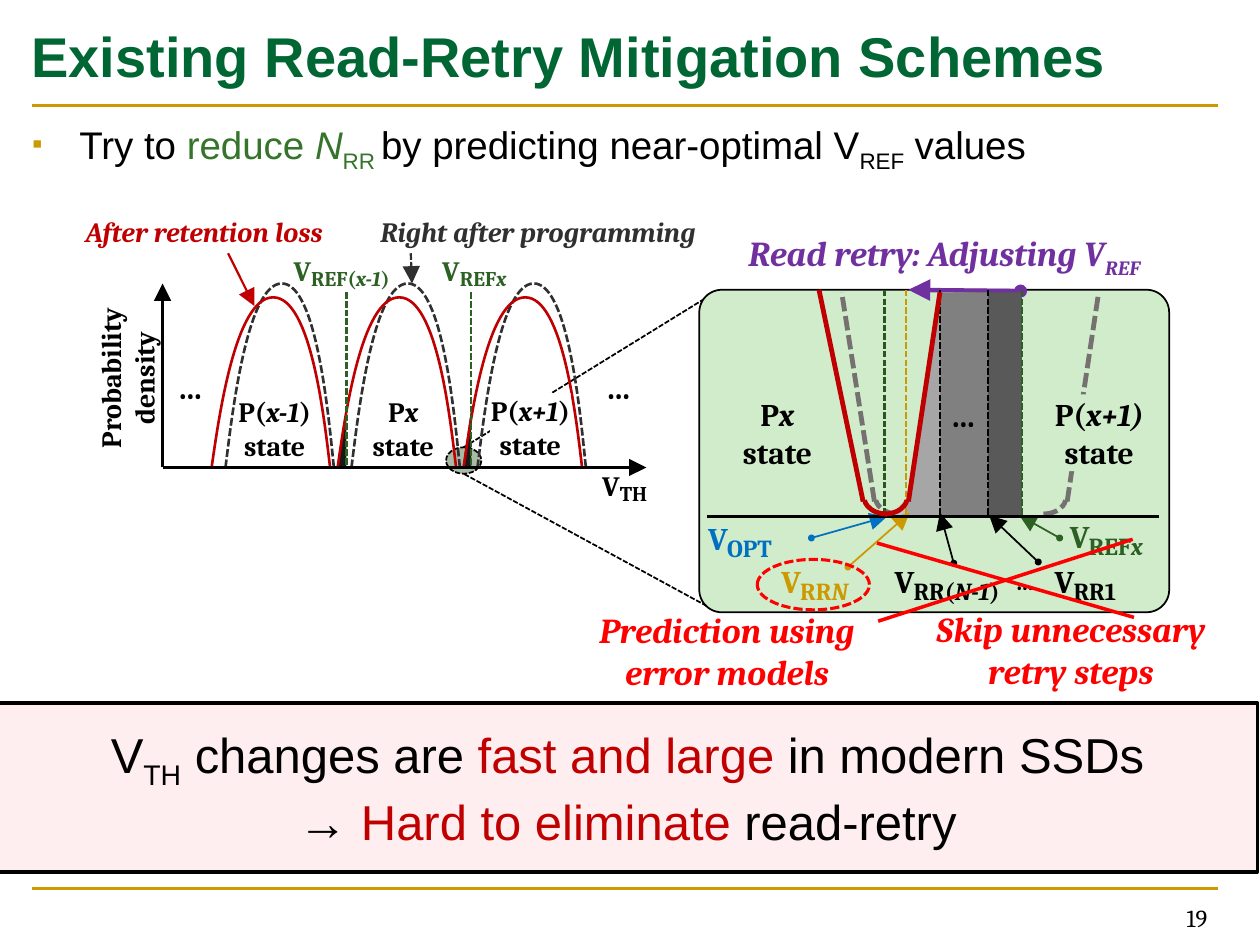
from dataclasses import dataclass
from typing import Any
from lxml import etree
from pptx import Presentation
from pptx import util as u
from pptx.dml import color as dml
from pptx.enum import dml as lines, shapes, text
from pptx.oxml import ns

HUE = dict(black="000000", white="FFFFFF", title="006633", gold="CC9900", leaf="35742A",
           green="2C6123", forest="285720", mint="D0ECCB", blue="0070C0", purple="7030A0",
           red="FF0000", wine="C00000", coal="303030", ink="181818", stone="767171",
           dark="595959", mid="808080", light="A6A6A6", pale="BFBFBF", blush="FFEEEF")
KIND = shapes.MSO_SHAPE
ALIGN = dict(l=text.PP_ALIGN.LEFT, c=text.PP_ALIGN.CENTER, r=text.PP_ALIGN.RIGHT)
SUB, ITAL = dict(sub=True), dict(italic=True)
PX = ["P", ("x\n", ITAL), "state"]


@dataclass
class Area:
    """A region of the slide; parts are placed from its top left corner."""
    items: Any
    x: float = 0
    y: float = 0

    def spot(self, x, y):
        return u.Inches(self.x + x), u.Inches(self.y + y)

    def rect(self, x, y, w, h):
        return *self.spot(x, y), u.Inches(w), u.Inches(h)


def rgb(name):
    return dml.RGBColor.from_string(HUE[name])


def node(parent, tag, **attrs):
    return etree.SubElement(parent, ns.qn(tag), attrs)


def stroke(item, color, width, dash=False):
    item.line.color.rgb = rgb(color)
    item.line.width = u.Pt(width)
    if dash:
        item.line.dash_style = lines.MSO_LINE.SQUARE_DOT


def paint(item, fill=None, line=None, width=1, dash=False):
    item.shadow.inherit = False
    if fill:
        item.fill.solid()
        item.fill.fore_color.rgb = rgb(fill)
    else:
        item.fill.background()
    if line:
        stroke(item, line, width, dash)
    else:
        item.line.fill.background()


def shape(area, kind, box, adj=(), flip="", **look):
    item = area.items.add_shape(kind, *area.rect(*box))
    for i, value in enumerate(adj):
        item.adjustments[i] = value
    for axis in flip:
        item._element.spPr.find(ns.qn("a:xfrm")).set("flip" + axis, "1")
    paint(item, **look)
    return item


def line(area, start, end, color, width=1, dash=False, dot=None, arrow=False):
    """A straight line; dot is the size of a round start."""
    item = area.items.add_connector(shapes.MSO_CONNECTOR.STRAIGHT,
                                    *area.spot(*start), *area.spot(*end))
    stroke(item, color, width, dash)
    if dot:
        node(item.line._ln, "a:headEnd", type="oval", w=dot, len=dot)
    if arrow:
        node(item.line._ln, "a:tailEnd", type="triangle", w="lg", len="lg")
    node(item._element.spPr, "a:effectLst")


def write(area, box, *paras, size=16, color="black", font="Cambria", bold=True, italic=False,
          align="c", pad=(0, 0), anchor=text.MSO_ANCHOR.MIDDLE, turn=0, bullet=None, **look):
    """Each paragraph is a string or a list of strings and (string, format) pairs."""
    item = area.items.add_textbox(*area.rect(*box))
    paint(item, **look)
    item.rotation = turn
    frame = item.text_frame
    frame.word_wrap, frame.vertical_anchor = True, anchor
    frame.margin_left = frame.margin_right = u.Inches(pad[0])
    frame.margin_top = frame.margin_bottom = u.Inches(pad[1])
    for i, parts in enumerate(paras):
        para = frame.add_paragraph() if i else frame.paragraphs[0]
        para.alignment = ALIGN[align]
        if bullet:
            props = para._p.get_or_add_pPr()
            props.set("marL", str(u.Inches(0.38)))
            props.set("indent", str(-u.Inches(0.38)))
            node(node(props, "a:buClr"), "a:srgbClr", val=HUE["gold"])
            node(props, "a:buSzPct", val="65000")
            node(props, "a:buFont", typeface="Wingdings", charset="2")
            node(props, "a:buChar", char=bullet)
        for part in [parts] if isinstance(parts, str) else parts:
            words, own = (part, {}) if isinstance(part, str) else part
            for j, piece in enumerate(words.split("\n")):
                if j:
                    para.add_line_break()
                if not piece:
                    continue
                run = para.add_run()
                run.text = piece
                run.font.name, run.font.size, run.font.bold = font, u.Pt(size), bold
                run.font.italic = own.get("italic", italic)
                run.font.color.rgb = rgb(own.get("color", color))
                if own.get("sub"):
                    run._r.get_or_add_rPr().set("baseline", "-25000")


def volt(area, x, y, sub, color="black", size=18):
    """A V with its subscript in a box of its own."""
    wide, high, dx, dy, small = (0.6, 0.3, 0.37, 0.11, 14) if size == 18 else (0.4, 0.27, 0.27, 0.09, 12)
    write(area, (x, y, wide, high), "V", size=size, color=color)
    write(area, (x + dx, y + dy, 0.95, high - 0.06), sub, size=small, color=color, align="l")


def bell(area, left, top, wide, color, dash=False):
    """Two cubic curves that meet at the peak."""
    high = 1.46 - top
    pen = area.items.build_freeform(*area.spot(left, 1.46))
    pen.add_line_segments([area.spot(left + 0.52 * wide, top), area.spot(left + wide, 1.46)], close=False)
    item = pen.convert_to_shape()
    halves = (((0.06, 0.71), (0.2, 0), (0.52, 0)), ((0.84, 0), (0.95, 0.71), (1, 1)))
    for step, half in zip(list(item._element.iter(ns.qn("a:lnTo"))), halves):
        step.tag = ns.qn("a:cubicBezTo")
        step.remove(step[0])
        for x, y in half:
            node(step, "a:pt", x=str(u.Inches(x * wide)), y=str(u.Inches(y * high)))
    paint(item, line=color, width=1.5, dash=dash)


def wall(area, foot, top, color, dash=False):
    """One side of a valley, from its foot up to the point given as top."""
    right = top[0] > foot
    shape(area, KIND.ARC, (foot - 0.37 if right else foot + 0.01, 1.52, 0.36, 0.26),
          (162.33, 211.86), "V" if right else "HV", line=color, width=2.75, dash=dash)
    line(area, (foot, 1.68), top, color, 2.75, dash)


def panel(area):
    line(area, (-1.87, 1.25), (0.06, 0.06), "black", dash=True)
    spot = shape(area, KIND.OVAL, (-2.01, 1.25, 0.28, 0.21), fill="forest", line="black", dash=True)
    node(spot._element.spPr.find(ns.qn("a:solidFill"))[0], "a:alpha", val="40000")
    shape(area, KIND.ROUNDED_RECTANGLE, (0, 0, 3.73, 2.56), (0.07,), fill="mint", line="black")
    line(area, (0.06, 2.51), (-1.87, 1.46), "black", dash=True)
    write(area, (0.23, 0.83, 0.78, 0.61), PX, size=18, fill="mint")
    wall(area, 2.92, (3.17, 0.02), "stone", True)
    wall(area, 1.39, (1.13, 0.02), "stone", True)
    write(area, (2.66, 0.83, 1.03, 0.61), ["P(", ("x+1)\n", ITAL), "state"], size=18, fill="mint")
    write(area, (-0.13, -0.44, 4.15, 0.34), ["Read retry: Adjusting V", ("REF", SUB)],
          size=20, color="purple", italic=True, fill="white")

    line(area, (2.55, 0.01), (1.66, 0), "purple", 2.5, dot="med", arrow=True)
    for left, wide, color in ((2.12, 0.44, "dark"), (1.91, 0.38, "mid")):
        shape(area, KIND.RECTANGLE, (left, 0.02, wide, 1.79), fill=color)
    for box, color in (((1.62, 0, 0.29, 1.8), "light"), ((1.5, 1.67, 0.14, 0.13), "pale")):
        shape(area, KIND.ISOSCELES_TRIANGLE, box, (1,), fill=color)
    for x, color in ((1.47, "forest"), (2.56, "green"), (2.29, "black"), (1.91, "black"), (1.64, "gold")):
        line(area, (x, 0), (x, 1.8), color, 1.25, True)
    for start, end, color in (((0.89, 1.97), (1.49, 1.8), "blue"), ((2.86, 1.97), (2.54, 1.79), "green"),
                              ((1.18, 2.2), (1.67, 1.77), "gold"), ((2.69, 2.16), (2.3, 1.79), "black"),
                              ((2.02, 2.17), (1.91, 1.77), "black")):
        line(area, start, end, color, dot="sm", arrow=True)
    volt(area, -0.15, 1.82, "OPT", "blue")
    volt(area, 2.72, 1.8, ["REF", ("x", ITAL)], "green")
    volt(area, 0.43, 2.16, ["RR", ("N", ITAL)], "gold")
    volt(area, 1.33, 2.16, ["RR(", ("N-1", ITAL), ")"])
    volt(area, 2.6, 2.16, "RR1")
    write(area, (1.58, 0.66, 1.03, 0.36), [("…", SUB)], size=32)
    write(area, (2.07, 2.06, 1.03, 0.27), [("…", SUB)], size=24)

    line(area, (3.44, 1.98), (1.42, 2.63), "red", 2)
    line(area, (3.45, 2.6), (1.41, 2.01), "red", 2)
    line(area, (0.06, 1.8), (3.65, 1.8), "black", 1.75)
    wall(area, 1.66, (1.91, 0.02), "wine")
    wall(area, 1.3, (0.95, 0), "wine")
    shape(area, KIND.OVAL, (0.46, 2.14, 0.89, 0.4), line="red", width=1.75, dash=True)
    note = dict(size=20, color="red", italic=True, pad=(0.1, 0.05))
    write(area, (-1, 2.31, 2.44, 1.11), "Prediction using\nerror models", **note)
    write(area, (1.73, 2.47, 2.44, 0.77), "Skip unnecessary", "retry steps", **note)


def plot(area):
    write(area, (-1.28, 0.48, 1.99, 0.54), "Probability", "density", turn=270)
    for x in (1.39, 2.38):
        shape(area, KIND.ISOSCELES_TRIANGLE, (x, 0.99, 0.07, 0.48), (1,), fill="ink")
    for i in range(3):
        bell(area, 0.5 + i, 0, 0.86, "coal", True)
        bell(area, 0.39 + i, 0.11, 0.94, "wine")
    for x in (1.46, 2.45):
        line(area, (x, 0.07), (x, 1.47), "green", 1.25, True)
    for end in ((0, 0), (3.84, 1.46)):
        line(area, (0, 1.46), end, "black", 1.5, arrow=True)
    write(area, (0.53, 0.88, 0.72, 0.54), ["P(", ("x-1", ITAL), ")\nstate"])
    write(area, (1.55, 0.88, 0.72, 0.54), PX)
    write(area, (2.6, 0.87, 0.64, 0.54), ["P(", ("x+1", ITAL), ")\nstate"], fill="white")
    for x in (-0.14, 3.26):
        write(area, (x, 0.49, 0.72, 0.36), [("…", SUB)], size=32)
    write(area, (-0.61, -0.55, 2.88, 0.27), "After retention loss", color="wine", italic=True, align="l")
    write(area, (1.54, -0.55, 2.88, 0.27), "Right after programming", color="coal", italic=True)
    line(area, (0.52, -0.24), (0.73, 0.18), "wine", 1.25, arrow=True)
    line(area, (1.97, -0.24), (1.98, 0), "coal", 1.25, True, arrow=True)
    volt(area, 0.91, -0.24, ["REF(", ("x-1", ITAL), ")"], "green", 16)
    volt(area, 2.09, -0.24, ["REF", ("x", ITAL)], "green", 16)
    volt(area, 3.36, 1.47, "TH", size=16)


def page(area):
    """Title, rules, bullet and page number."""
    for y in (0.84, 7.05):
        line(area, (0.25, y), (9.67, y), "gold", 1.5)
    write(area, (0.25, 0.04, 9.42, 0.79), "Existing Read-Retry Mitigation Schemes",
          size=32, color="title", font="Arial", align="l", pad=(0, 0.05))
    leaf = dict(color="leaf")
    write(area, (0.25, 0.84, 9.42, 6.21),
          ["Try to ", ("reduce ", leaf), ("N", leaf | ITAL), ("RR ", leaf | SUB),
           "by predicting near-optimal V", ("REF", SUB), " values"],
          size=22, font="Arial", bold=False, align="l", pad=(0, 0.12),
          anchor=text.MSO_ANCHOR.TOP, bullet="§")
    write(area, (7.35, 7.11, 2.33, 0.34), "19", size=14, bold=False, align="r", pad=(0.1, 0.05))


def banner(area):
    wine = dict(color="wine")
    write(area, (0, 0, 10, 1.34),
          ["V", ("TH", SUB), " changes are ", ("fast and large ", wine), "in modern SSDs\n→ ",
           ("Hard to eliminate ", wine), "read-retry"],
          size=28, font="Arial", bold=False, fill="blush", line="black", width=2)


def main():
    deck = Presentation()
    deck.slide_width, deck.slide_height = u.Inches(10), u.Inches(7.5)
    items = deck.slides.add_slide(deck.slide_layouts[6]).shapes
    page(Area(items))
    panel(Area(items, 5.55, 2.3))
    plot(Area(items, 1.29, 2.25))
    banner(Area(items, -0.02, 5.58))
    deck.save("out.pptx")


if __name__ == "__main__":
    main()
